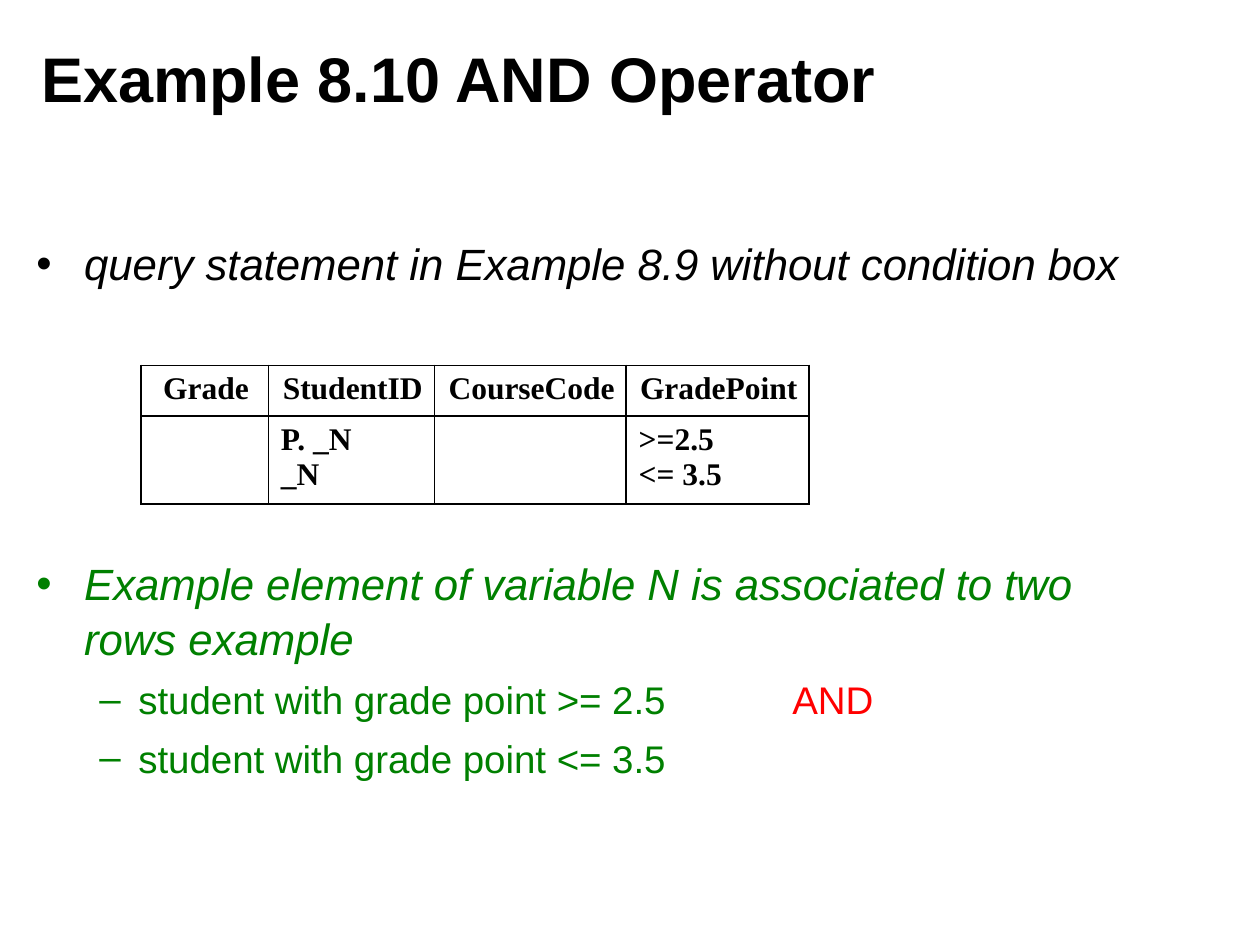
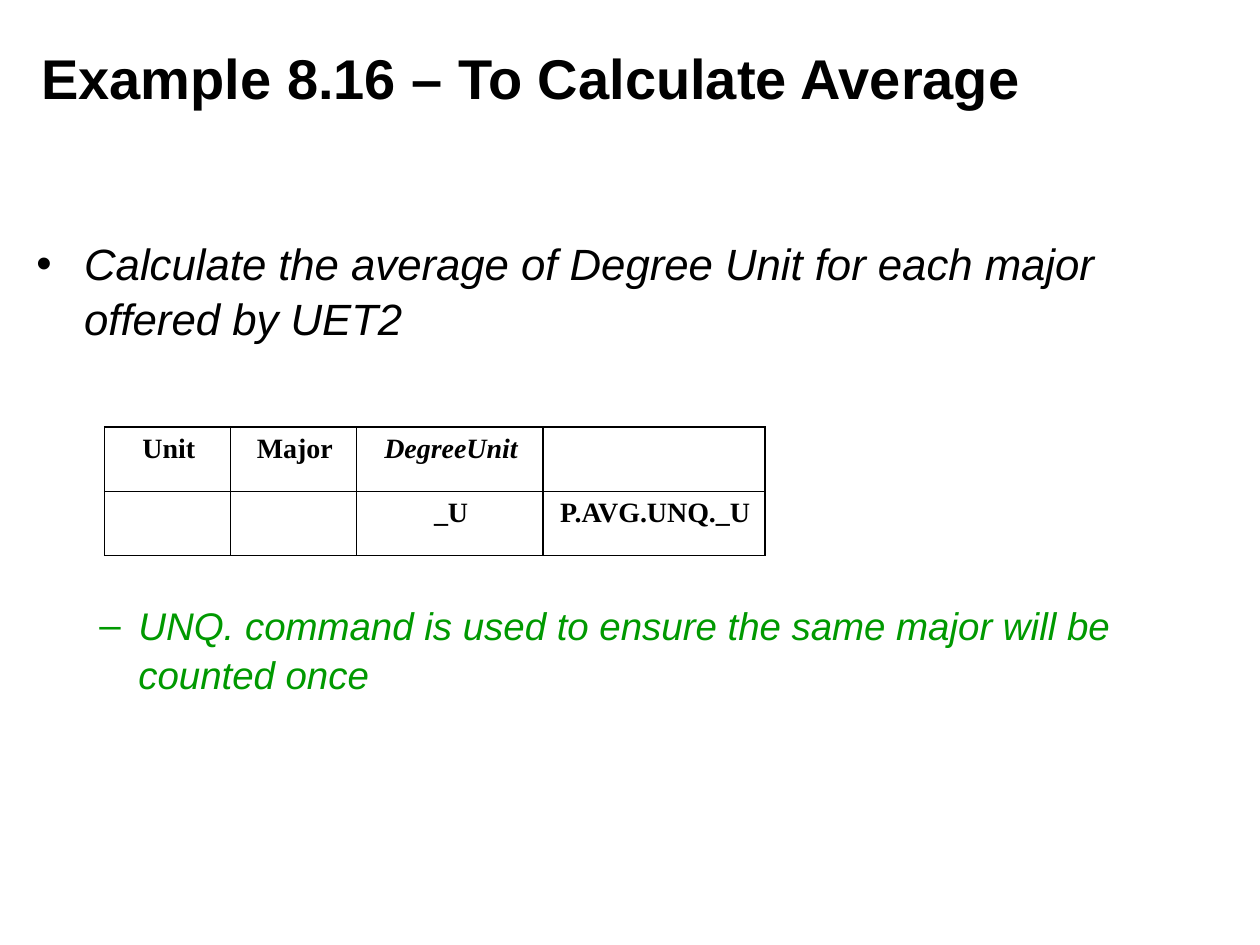
"""Builds two query-by-example slides, each with a title, notes and a grid."""
from dataclasses import dataclass

from lxml.etree import SubElement
from pptx import Presentation
from pptx.dml.color import RGBColor
from pptx.enum.text import MSO_ANCHOR, PP_ALIGN
from pptx.oxml.ns import qn
from pptx.util import Inches, Pt


@dataclass(frozen=True)
class Theme:
    black: str = "000000"
    green: str = "008000"
    bright_green: str = "009900"
    red: str = "FF0000"
    sans: str = "Arial"
    serif: str = "Times New Roman"
    point_size: float = 25
    subpoint_size: float = 22
    line_spacing: float = 1.05
    border_width: float = 0.96


THEME = Theme()

TITLE_BOX = (0.23, 0.15, 8.03, 0.93)
NOTES_BOX = (0.19, 1.81, 8.97, 4.82)
OPERATOR_TAB = 6

LEVELS = {
    "point": dict(mark="•", left=0.38, hang=0.38, size=THEME.point_size, before=6.2),
    "subpoint": dict(mark="–", left=0.81, hang=0.31, size=THEME.subpoint_size, before=5.5),
}

EXAMPLES = [
    dict(
        title="Example 8.10 AND Operator",
        title_size=36,
        notes=[
            dict(level="point", runs=[("query statement in Example 8.9 without condition box", THEME.black)],
                 italic=True),
            dict(level="point", runs=[("Example element of variable N is associated to two rows example",
                                       THEME.green)], italic=True, before=151.5),
            dict(level="subpoint", runs=[("student with grade point >= 2.5\t", THEME.green),
                                         ("AND", THEME.red)], tab=OPERATOR_TAB),
            dict(level="subpoint", runs=[("student with grade point <= 3.5", THEME.green)]),
        ],
        grid=dict(
            corner=(1.12, 2.9), columns=[1.01, 1.32, 1.52, 1.45], rows=[0.4, 0.7], size=18,
            cells=[["Grade", "StudentID", "CourseCode", "GradePoint"],
                   ["", "P. _N\n_N", "", ">=2.5\n<= 3.5"]],
            alignments=[PP_ALIGN.CENTER, PP_ALIGN.LEFT], italic_cells=[],
        ),
    ),
    dict(
        title="Example 8.16 – To Calculate Average",
        title_size=32,
        notes=[
            dict(level="point", runs=[("Calculate the average of Degree Unit for each major offered by UET2",
                                       THEME.black)], italic=True),
            dict(level="subpoint", runs=[("UNQ. command is used to ensure the same major will be counted once",
                                          THEME.bright_green)], italic=True, before=146),
        ],
        grid=dict(
            corner=(0.83, 3.39), columns=[1, 1, 1.48, 1.76], rows=[0.51, 0.51], size=16,
            cells=[["Unit", "Major", "DegreeUnit", ""],
                   ["", "", "_U", "P.AVG.UNQ._U"]],
            alignments=[PP_ALIGN.CENTER, PP_ALIGN.CENTER], italic_cells=["DegreeUnit"],
        ),
    ),
]


def write(paragraph, text, *, size, font=THEME.sans, color=THEME.black, bold=False, italic=False):
    run = paragraph.add_run()
    run.text = text
    run.font.size = Pt(size)
    run.font.name = font
    run.font.bold = bold
    run.font.italic = italic
    run.font.color.rgb = RGBColor.from_string(color)


def add_frame(slide, box):
    frame = slide.shapes.add_textbox(*map(Inches, box)).text_frame
    frame.word_wrap = True
    return frame


def set_bullet(paragraph, level, color, tab):
    properties = paragraph._p.get_or_add_pPr()
    properties.set("marL", str(Inches(level["left"])))
    properties.set("indent", str(-Inches(level["hang"])))
    SubElement(SubElement(properties, qn("a:buClr")), qn("a:srgbClr"), val=color)
    SubElement(properties, qn("a:buFont"), typeface=THEME.sans)
    SubElement(properties, qn("a:buChar"), char=level["mark"])
    if tab:
        stops = SubElement(properties, qn("a:tabLst"))
        SubElement(stops, qn("a:tab"), pos=str(Inches(tab)), algn="l")


def add_title(slide, title, size):
    frame = add_frame(slide, TITLE_BOX)
    frame.vertical_anchor = MSO_ANCHOR.MIDDLE
    write(frame.paragraphs[0], title, size=size, bold=True)


def add_notes(slide, notes):
    frame = add_frame(slide, NOTES_BOX)
    for index, note in enumerate(notes):
        level = LEVELS[note["level"]]
        paragraph = frame.add_paragraph() if index else frame.paragraphs[0]
        set_bullet(paragraph, level, note["runs"][0][1], note.get("tab"))
        paragraph.line_spacing = THEME.line_spacing
        if index:
            paragraph.space_before = Pt(note.get("before", level["before"]))
        for text, color in note["runs"]:
            write(paragraph, text, size=level["size"], color=color, italic=note.get("italic", False))


def style_cell(cell):
    cell.margin_left, cell.margin_right = Inches(0.1), Inches(0.08)
    cell.margin_top = cell.margin_bottom = Inches(0.05)
    properties = cell._tc.get_or_add_tcPr()
    for side in ("lnL", "lnR", "lnT", "lnB"):
        line = SubElement(properties, qn(f"a:{side}"), w=str(Pt(THEME.border_width)))
        SubElement(SubElement(line, qn("a:solidFill")), qn("a:srgbClr"), val=THEME.black)
    cell.fill.background()


def add_grid(slide, grid):
    columns, rows = grid["columns"], grid["rows"]
    box = (*grid["corner"], sum(columns), sum(rows))
    table = slide.shapes.add_table(len(rows), len(columns), *map(Inches, box)).table
    table.first_row = table.horz_banding = False
    for column, width in zip(table.columns, columns):
        column.width = Inches(width)
    for row, height, texts, alignment in zip(table.rows, rows, grid["cells"], grid["alignments"]):
        row.height = Inches(height)
        for cell, text in zip(row.cells, texts):
            style_cell(cell)
            for index, line in enumerate(text.splitlines()):
                frame = cell.text_frame
                paragraph = frame.add_paragraph() if index else frame.paragraphs[0]
                paragraph.alignment = alignment
                write(paragraph, line, size=grid["size"], font=THEME.serif, bold=True,
                      italic=text in grid["italic_cells"])


def main():
    deck = Presentation()
    deck.slide_width, deck.slide_height = Inches(10), Inches(7.5)
    for example in EXAMPLES:
        slide = deck.slides.add_slide(deck.slide_layouts[6])
        add_title(slide, example["title"], example["title_size"])
        add_notes(slide, example["notes"])
        add_grid(slide, example["grid"])
    deck.save("out.pptx")


if __name__ == "__main__":
    main()
